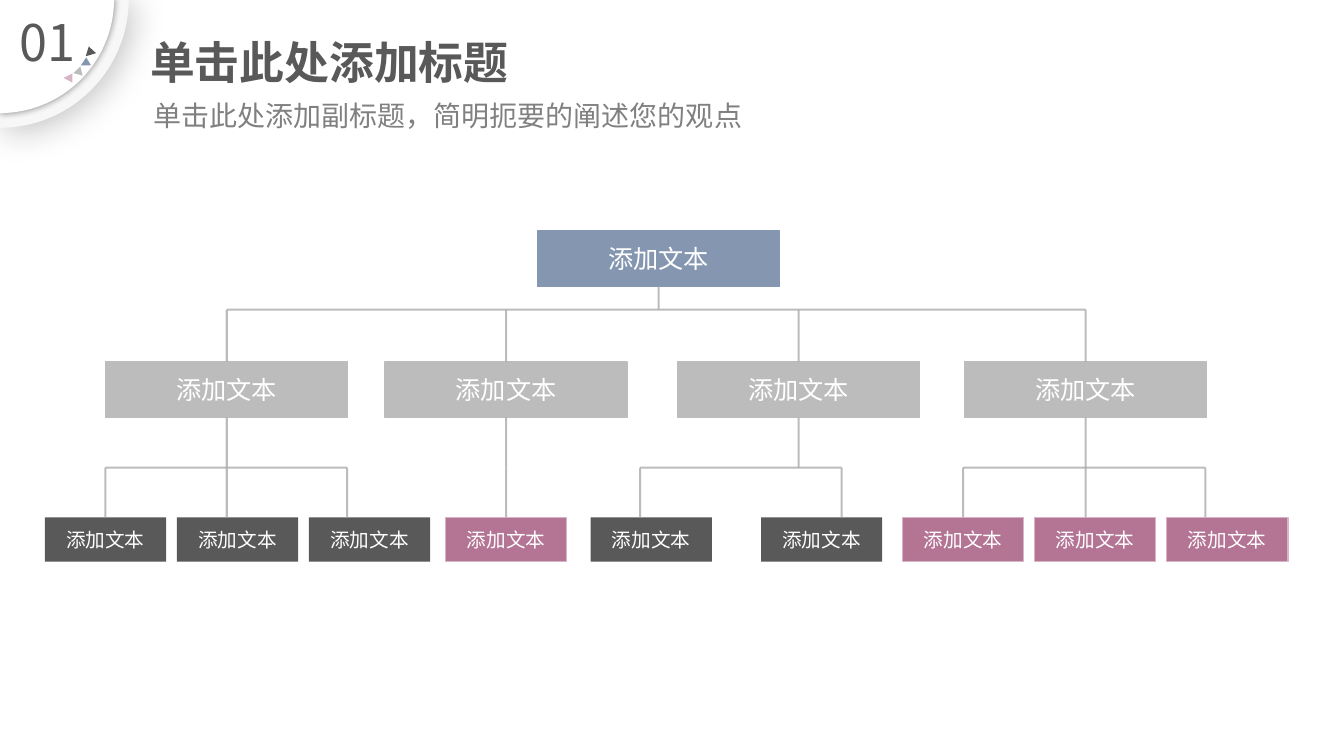
"""Build an organisation chart slide with a numbered corner badge."""
import math

import lxml.etree
import pptx
import pptx.dml.color
import pptx.enum.shapes
import pptx.enum.text
import pptx.oxml
import pptx.oxml.ns
import pptx.util

FONT = "Noto Sans CJK SC"
COLORS = {
    "dark": "595959", "blue": "8496B0", "grey": "BCBCBC", "rose": "B47595",
    "pink": "D7B5C6", "line": "AFABAB", "subtitle": "808080",
    "white": "FFFFFF", "ring": "F7F7F7", "black": "000000",
}
NUMBER = "01"
TITLE = "单击此处添加标题"
SUBTITLE = "单击此处添加副标题，简明扼要的阐述您的观点"
LABEL = "添加文本"

BADGE = [
    {"radius": 92, "color": "ring", "alpha": 25, "blur": 26, "dist": 3},
    {"radius": 81.5, "color": "white", "alpha": 40, "blur": 5, "dist": 0},
]
TRIANGLES = [
    ("dark", [(63.4, 33.2), (68.6, 38), (61.3, 40.2)]),
    ("blue", [(61.6, 41), (65, 46.6), (57.8, 46.8)]),
    ("grey", [(57.4, 47.5), (59, 54), (52.4, 52.2)]),
    ("pink", [(51.8, 52.5), (51.7, 59), (45.4, 55.6)]),
]
ROOT_X = 470.5
BRANCHES = [
    {"x": 162, "first": 75.3, "pitch": 94.3, "drops": [75.3, 162, 248],
     "fill": "dark", "border": None},
    {"x": 361.5, "first": 361.5, "pitch": 0, "drops": [361.5],
     "fill": "rose", "border": "pink"},
    {"x": 570.5, "first": 465.2, "pitch": 121.7, "drops": [457.2, 601.2],
     "fill": "dark", "border": None},
    {"x": 775.5, "first": 688, "pitch": 94.3, "drops": [688, 775.5, 861],
     "fill": "rose", "border": "pink"},
]
ROOT_Y, BRANCH_Y, LEAF_Y = 165, 258.5, 369.5
BOX_W, BOX_H = 172.8, 39.6
LEAF_W, LEAF_H = 86.6, 31.7
BUS_Y, LEAF_BUS_Y = 221.2, 334

Pt = pptx.util.Pt
qn = pptx.oxml.ns.qn


def rgb(name):
    return pptx.dml.color.RGBColor.from_string(COLORS[name])


def write(sp, text, size, color, align, anchor, bold=False, spacing=None):
    tf = sp.text_frame
    tf.text = text
    tf.word_wrap = True
    tf.auto_size = pptx.enum.text.MSO_AUTO_SIZE.NONE
    tf.vertical_anchor = anchor
    p = tf.paragraphs[0]
    p.alignment = align
    p.space_before = Pt(0)
    p.line_spacing = spacing
    r = p.runs[0]
    r.font.name, r.font.size, r.font.bold = FONT, Pt(size), bold
    r.font.color.rgb = rgb(color)
    ea = pptx.oxml.parse_xml(
        f'<a:ea {pptx.oxml.ns.nsdecls("a")} typeface="{FONT}"/>')
    r.font._element.find(qn("a:latin")).addnext(ea)


def place(sp, left, top, width, height):
    sp.left, sp.top, sp.width, sp.height = map(Pt, (left, top, width, height))


def polygon(slide, points, color):
    points = [(Pt(x), Pt(y)) for x, y in points]
    builder = slide.shapes.build_freeform(*points[0])
    builder.add_line_segments(points[1:], close=True)
    sp = builder.convert_to_shape()
    sp.shadow.inherit = False
    sp.fill.solid()
    sp.fill.fore_color.rgb = rgb(color)
    sp.line.fill.background()
    return sp


def cast_shadow(sp, alpha, blur, dist):
    effects = sp._element.spPr.find(qn("a:effectLst"))
    shadow = lxml.etree.SubElement(
        effects, qn("a:outerShdw"), blurRad=str(Pt(blur)), dist=str(Pt(dist)),
        dir=str(45 * 60000), algn="ctr", rotWithShape="0")
    color = lxml.etree.SubElement(shadow, qn("a:srgbClr"), val=COLORS["black"])
    lxml.etree.SubElement(color, qn("a:alpha"), val=str(alpha * 1000))


def box(slide, center, top, width, height, size, fill, border):
    sp = slide.shapes.add_shape(
        pptx.enum.shapes.MSO_SHAPE.RECTANGLE,
        Pt(center - width / 2), Pt(top), Pt(width), Pt(height))
    sp.shadow.inherit = False
    sp.fill.solid()
    sp.fill.fore_color.rgb = rgb(fill)
    if border:
        sp.line.color.rgb = rgb(border)
        sp.line.width = Pt(1)
    else:
        sp.line.fill.background()
    write(sp, LABEL, size, "white", pptx.enum.text.PP_ALIGN.CENTER,
          pptx.enum.text.MSO_ANCHOR.MIDDLE)
    return sp


def connect(slide, x1, y1, x2, y2, above=None, below=None):
    cx = slide.shapes.add_connector(
        pptx.enum.shapes.MSO_CONNECTOR.STRAIGHT, Pt(x1), Pt(y1), Pt(x2), Pt(y2))
    cx.line.color.rgb = rgb("line")
    cx.line.width = Pt(1.5)
    spPr = cx._element.spPr
    lxml.etree.SubElement(
        next(spPr.iter(qn("a:srgbClr"))), qn("a:alpha"), val="80000")
    lxml.etree.SubElement(spPr, qn("a:effectLst"))
    if above is not None:
        cx.begin_connect(above, 2)
    if below is not None:
        cx.end_connect(below, 0)


def draw_header(slide):
    align, anchor = pptx.enum.text.PP_ALIGN, pptx.enum.text.MSO_ANCHOR
    for disc in BADGE:
        arc = [math.radians(a) for a in range(0, 91, 2)]
        rim = [(disc["radius"] * math.cos(a), disc["radius"] * math.sin(a) - 0.7)
               for a in arc]
        sp = polygon(slide, [(0, -0.7)] + rim, disc["color"])
        cast_shadow(sp, disc["alpha"], disc["blur"], disc["dist"])
    for color, points in TRIANGLES:
        polygon(slide, points, color)
    number = slide.shapes.add_textbox(Pt(2.9), Pt(4.3), Pt(62.6), Pt(51))
    write(number, NUMBER, 36, "dark", align.CENTER, anchor.TOP)
    title, subtitle = slide.shapes.title, slide.placeholders[1]
    place(title, 100, 29.5, 445, 37.5)
    write(title, TITLE, 32, "dark", align.LEFT, anchor.BOTTOM, True, 0.9)
    place(subtitle, 102.2, 69.8, 443.5, 27.4)
    write(subtitle, SUBTITLE, 20, "subtitle", align.LEFT, anchor.TOP, spacing=0.9)


def draw_branch(slide, branch):
    x, drops = branch["x"], branch["drops"]
    sp = box(slide, x, BRANCH_Y, BOX_W, BOX_H, 18, "grey", "grey")
    connect(slide, x, BUS_Y, x, BRANCH_Y, below=sp)
    connect(slide, x, BRANCH_Y + BOX_H, x, LEAF_BUS_Y, above=sp)
    if len(drops) > 1:
        connect(slide, drops[0], LEAF_BUS_Y, drops[-1], LEAF_BUS_Y)
    for i, drop in enumerate(drops):
        center = branch["first"] + i * branch["pitch"]
        leaf = box(slide, center, LEAF_Y, LEAF_W, LEAF_H, 14,
                   branch["fill"], branch["border"])
        joined = leaf if math.isclose(center, drop) else None
        connect(slide, drop, LEAF_BUS_Y, drop, LEAF_Y, below=joined)


def main():
    prs = pptx.Presentation()
    prs.slide_width, prs.slide_height = Pt(960), Pt(540)
    slide = prs.slides.add_slide(prs.slide_layouts[0])
    draw_header(slide)
    root = box(slide, ROOT_X, ROOT_Y, BOX_W, BOX_H, 18, "blue", "blue")
    connect(slide, ROOT_X, ROOT_Y + BOX_H, ROOT_X, BUS_Y, above=root)
    connect(slide, BRANCHES[0]["x"], BUS_Y, BRANCHES[-1]["x"], BUS_Y)
    for branch in BRANCHES:
        draw_branch(slide, branch)
    prs.save("out.pptx")


if __name__ == "__main__":
    main()
